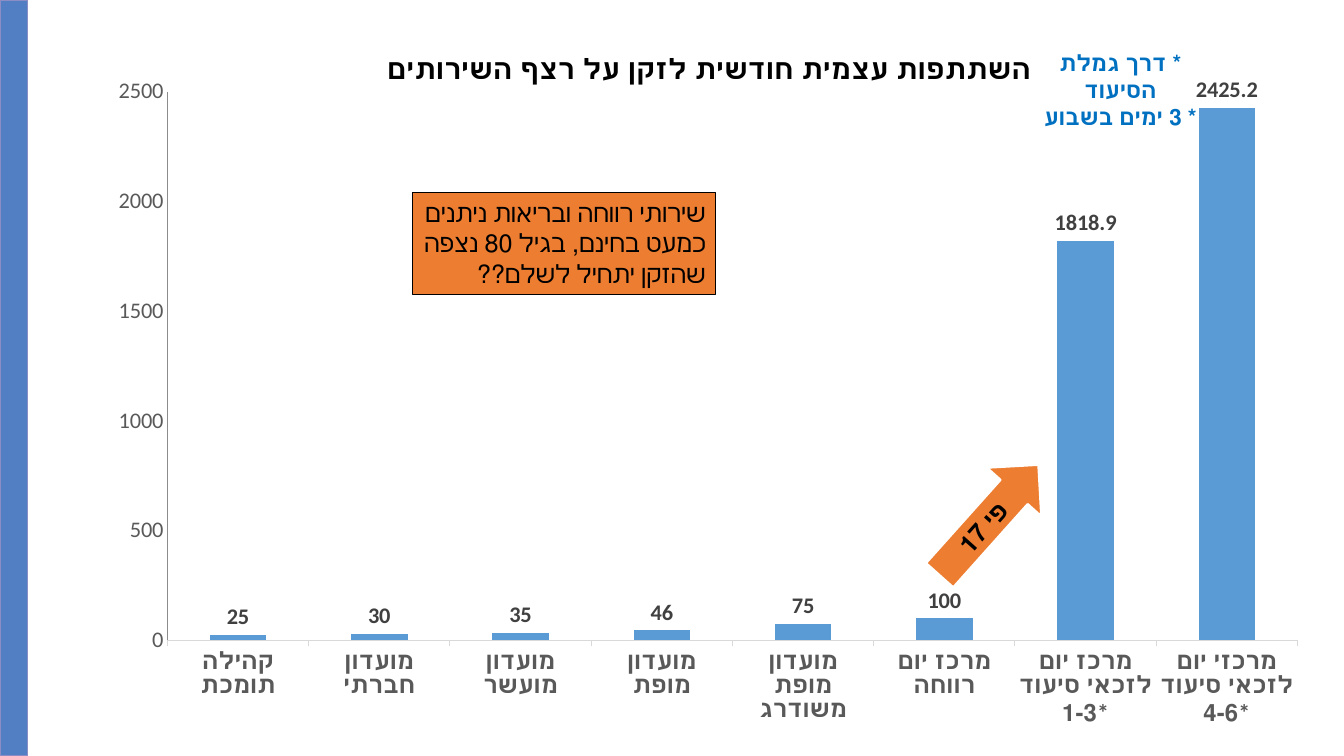
from dataclasses import dataclass
from typing import Optional

from lxml import etree
from pptx import Presentation
from pptx.chart.chart import Chart
from pptx.chart.data import CategoryChartData
from pptx.dml.color import RGBColor
from pptx.enum.chart import XL_CHART_TYPE, XL_LABEL_POSITION, XL_TICK_MARK
from pptx.enum.shapes import MSO_SHAPE
from pptx.enum.text import MSO_ANCHOR, PP_ALIGN
from pptx.oxml import parse_xml
from pptx.oxml.ns import nsdecls, qn
from pptx.util import Cm, Pt

COLUMNS = XL_CHART_TYPE.COLUMN_CLUSTERED
OUTSIDE_END = XL_LABEL_POSITION.OUTSIDE_END
TICK_NONE = XL_TICK_MARK.NONE
TICK_OUTSIDE = XL_TICK_MARK.OUTSIDE
RECTANGLE = MSO_SHAPE.RECTANGLE
RIGHT_ARROW = MSO_SHAPE.RIGHT_ARROW
TOP = MSO_ANCHOR.TOP
MIDDLE = MSO_ANCHOR.MIDDLE
CENTER = PP_ALIGN.CENTER
RIGHT = PP_ALIGN.RIGHT

BLACK = RGBColor(0x00, 0x00, 0x00)
WHITE = RGBColor(0xFF, 0xFF, 0xFF)
ORANGE = RGBColor(0xED, 0x7D, 0x31)
NOTE_BLUE = RGBColor(0x00, 0x70, 0xC0)
BAND_BLUE = RGBColor(0x52, 0x7F, 0xC4)
BAND_EDGE = RGBColor(0x8C, 0x8D, 0xC5)
COLUMN_BLUE = RGBColor(0x5B, 0x9B, 0xD5)
AXIS_TEXT = RGBColor(0x59, 0x59, 0x59)
LABEL_TEXT = RGBColor(0x40, 0x40, 0x40)
CATEGORY_LINE = RGBColor(0xD9, 0xD9, 0xD9)
VALUE_LINE = RGBColor(0x8C, 0x8C, 0x8C)

FONT = "Calibri"
TITLE = "השתתפות עצמית חודשית לזקן על רצף השירותים"
MONTHLY_FEES = {
    "קהילה תומכת": 25,
    "מועדון חברתי": 30,
    "מועדון מועשר": 35,
    "מועדון מופת": 46,
    "מועדון מופת משודרג": 75,
    "מרכז יום רווחה": 100,
    "מרכז יום לזכאי סיעוד 1-3*": 1818.9,
    "מרכזי יום לזכאי סיעוד 4-6*": 2425.2,
}


@dataclass(frozen=True)
class Block:
    left: float
    top: float
    width: float
    height: float
    lines: tuple[str, ...] = ()
    size: int = 18
    color: RGBColor = BLACK
    bold: bool = False
    align: PP_ALIGN = CENTER
    anchor: MSO_ANCHOR = TOP
    preset: Optional[MSO_SHAPE] = None
    fill: RGBColor = ORANGE
    edge: RGBColor = BLACK
    edge_width: float = 1
    rotation: float = 0


FOOTNOTE = Block(25.76, 1.12, 4.95, 1.63, ("* דרך גמלת הסיעוד", "* 3 ימים בשבוע"),
                 size=16, color=NOTE_BLUE, bold=True)
SIDE_BAND = Block(0, 0, 0.69, 19.05, preset=RECTANGLE, fill=BAND_BLUE, edge=BAND_EDGE)
GROWTH_ARROW = Block(23.06, 12.19, 3.73, 1.83, ("פי 17",), bold=True, anchor=MIDDLE,
                     preset=RIGHT_ARROW, edge=WHITE, edge_width=1.5, rotation=311.8)
QUESTION = Block(10.39, 4.85, 7.65, 2.57,
                 ("שירותי רווחה ובריאות ניתנים כמעט בחינם, בגיל 80 נצפה שהזקן יתחיל לשלם??",),
                 align=RIGHT, preset=RECTANGLE)


def style_font(font, size: float, color: RGBColor, bold: bool = False) -> None:
    font.name = FONT
    font.size = Pt(size)
    font.bold = bold
    font.color.rgb = color


def add_block(page, block: Block) -> None:
    frame = [Cm(block.left), Cm(block.top), Cm(block.width), Cm(block.height)]
    if block.preset is None:
        box = page.shapes.add_textbox(*frame)
    else:
        box = page.shapes.add_shape(block.preset, *frame)
        box.shadow.inherit = False
        box.fill.solid()
        box.fill.fore_color.rgb = block.fill
        box.line.color.rgb = block.edge
        box.line.width = Pt(block.edge_width)
    box.rotation = block.rotation
    if not block.lines:
        return
    box.text_frame.word_wrap = True
    box.text_frame.vertical_anchor = block.anchor
    para = box.text_frame.paragraphs[0]
    para.alignment = block.align
    para._p.get_or_add_pPr().set("rtl", "1")
    for index, line in enumerate(block.lines):
        if index:
            para.add_line_break()
        span = para.add_run()
        span.text = line
        style_font(span.font, block.size, block.color, block.bold)


def manual_layout(**settings: object) -> etree._Element:
    items = "".join(f'<c:{name} val="{value}"/>' for name, value in settings.items())
    return parse_xml(f'<c:layout {nsdecls("c")}><c:manualLayout>{items}'
                     "</c:manualLayout></c:layout>")


def clear_fill() -> etree._Element:
    return parse_xml(f'<c:spPr {nsdecls("c", "a")}><a:noFill/><a:ln><a:noFill/></a:ln></c:spPr>')


def style_axis(axis, size: float, line: RGBColor, tick: XL_TICK_MARK, bold: bool) -> None:
    axis.has_major_gridlines = False
    axis.major_tick_mark = tick
    axis.minor_tick_mark = TICK_NONE
    axis.format.line.color.rgb = line
    axis.format.line.width = Pt(0.75)
    style_font(axis.tick_labels.font, size, AXIS_TEXT, bold)


def place_chart_parts(chart: Chart) -> None:
    title = chart.chart_title._element
    for old in title.findall(qn("c:layout")):
        title.remove(old)
    title.find(qn("c:tx")).addnext(manual_layout(xMode="edge", yMode="edge", x=0.24, y=0.03))
    area = chart._chartSpace.chart.plotArea
    for old in area.findall(qn("c:layout")):
        area.remove(old)
    area.insert(0, manual_layout(layoutTarget="inner", xMode="edge", yMode="edge",
                                 x=0.065, y=0.092, w=0.922, h=0.786))
    area.append(clear_fill())
    chart._chartSpace.chart.addnext(clear_fill())


def add_fee_chart(page) -> None:
    data = CategoryChartData()
    data.categories = list(MONTHLY_FEES)
    data.add_series("Series 1", list(MONTHLY_FEES.values()))
    chart = page.shapes.add_chart(COLUMNS, Cm(2.21), Cm(0.69), Cm(30.89), Cm(17.65), data).chart
    style_font(chart.font, 10, BLACK)
    chart.has_legend = False
    chart.has_title = True
    span = chart.chart_title.text_frame.paragraphs[0].add_run()
    span.text = TITLE
    style_font(span.font, 20, BLACK, True)

    style_axis(chart.category_axis, 17, CATEGORY_LINE, TICK_OUTSIDE, True)
    style_axis(chart.value_axis, 16, VALUE_LINE, TICK_NONE, False)
    chart.value_axis.minimum_scale = 0
    chart.value_axis.maximum_scale = 2500
    chart.value_axis.major_unit = 500

    plot = chart.plots[0]
    plot.gap_width = 150
    plot.vary_by_categories = False
    series = plot.series[0]
    series.format.fill.solid()
    series.format.fill.fore_color.rgb = COLUMN_BLUE
    labels = series.data_labels
    labels.show_value = True
    labels.position = OUTSIDE_END
    style_font(labels.font, 16, LABEL_TEXT, True)
    place_chart_parts(chart)


def main() -> None:
    deck = Presentation()
    deck.slide_width = Cm(33.87)
    deck.slide_height = Cm(19.05)
    page = deck.slides.add_slide(deck.slide_layouts[6])
    add_block(page, FOOTNOTE)
    add_block(page, SIDE_BAND)
    add_fee_chart(page)
    add_block(page, GROWTH_ARROW)
    add_block(page, QUESTION)
    deck.save("out.pptx")


if __name__ == "__main__":
    main()
